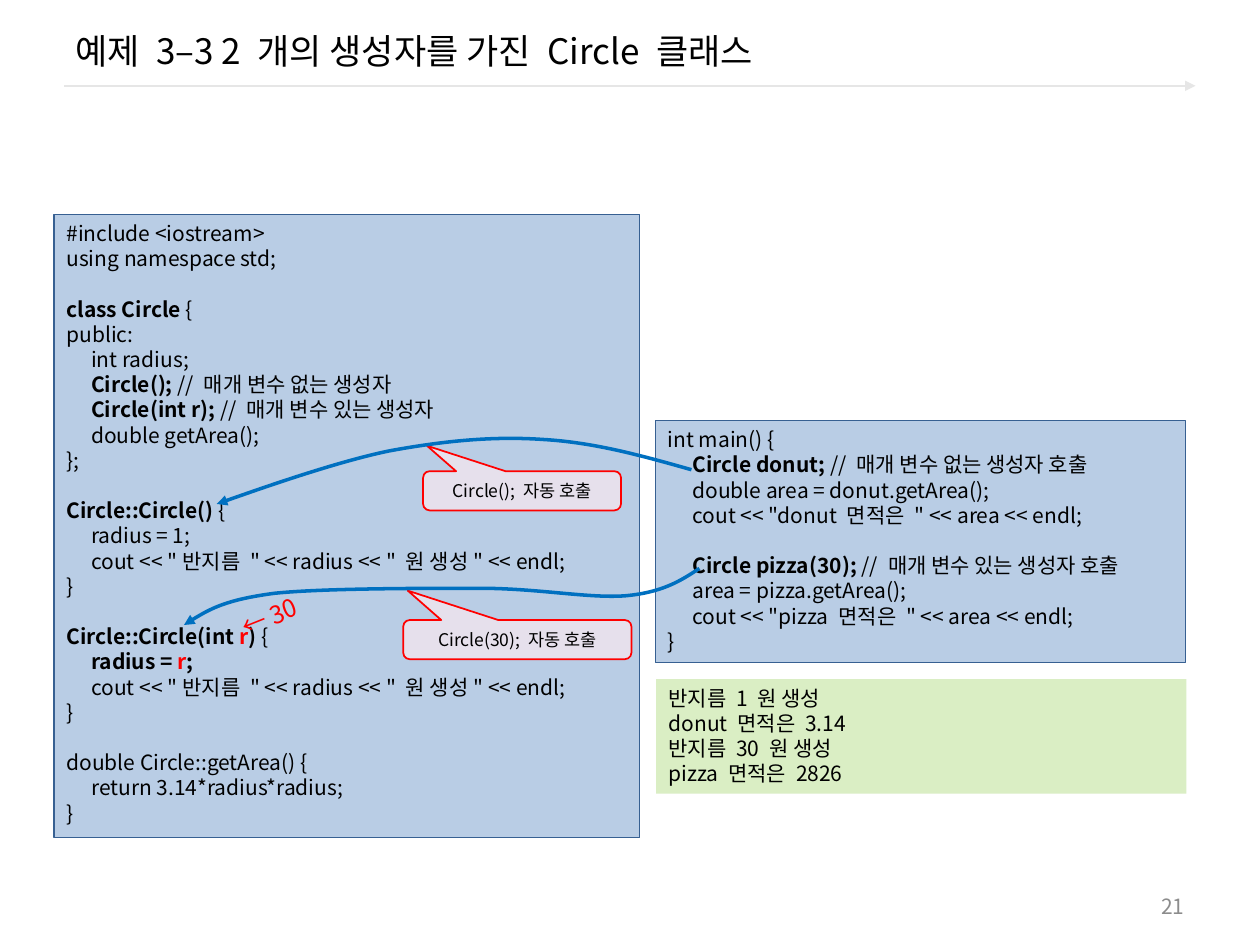
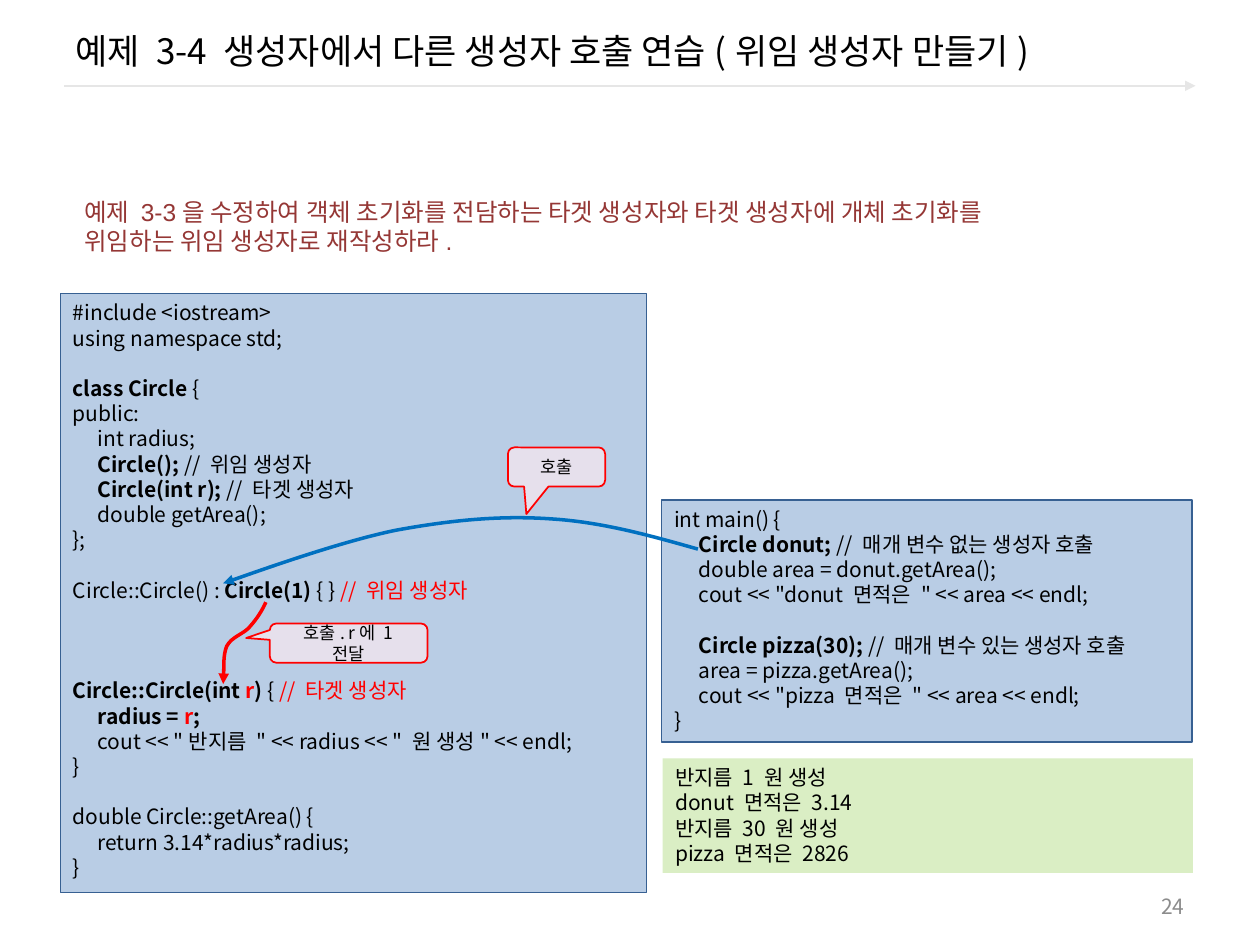
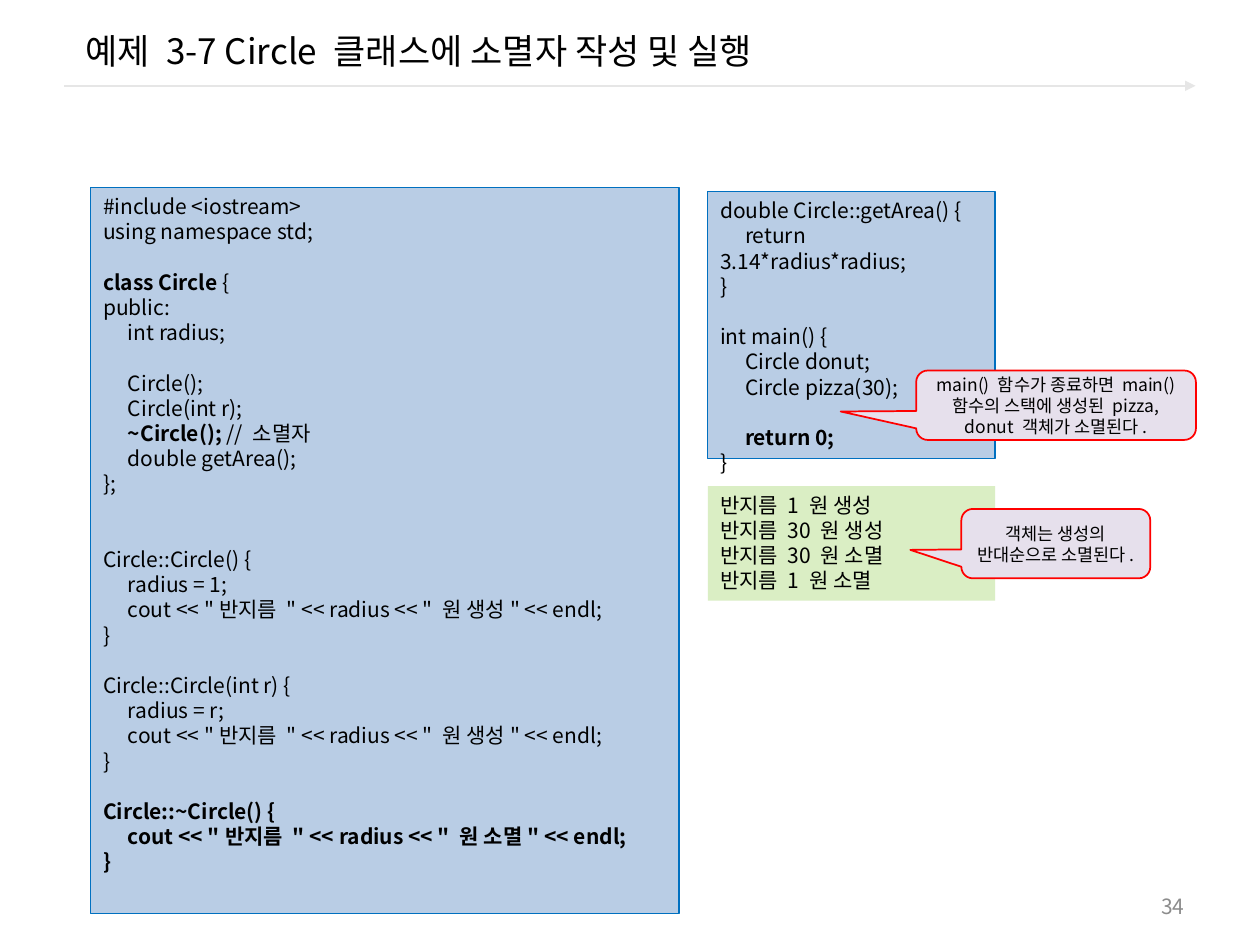
from lxml import etree
from pptx import Presentation
from pptx.dml.color import RGBColor
from pptx.enum import shapes, text
from pptx.oxml.ns import qn
from pptx.util import Cm, Pt

INK = dict(black="000000", red="FF0000", blue="0070C0", navy="376092", code="B9CDE5",
           out="DAEEC4", call="E6E0EC", rule="E6E6E6", page="8C8C8C", wine="953735")
SANS = "Noto Sans CJK KR"
KIND = shapes.MSO_SHAPE
MID = text.MSO_ANCHOR.MIDDLE
TOP = text.MSO_ANCHOR.TOP
ALIGN = text.PP_ALIGN

LOOKS = {
    "title": dict(size=20, anchor=MID),
    "page": dict(size=12, anchor=MID, ink="page", align=ALIGN.RIGHT),
    "note": dict(size=14, ink="wine", font="Arial"),
    "hand": dict(size=14, ink="red", wrap=False),
    "code": dict(size=12, kind=KIND.RECTANGLE, fill="code", edge="navy", width=0.75),
    "late": dict(size=12, kind=KIND.RECTANGLE, fill="code", edge="blue", width=0.75),
    "out": dict(size=12, kind=KIND.RECTANGLE, fill="out"),
    "call": dict(size=10, kind=KIND.ROUNDED_RECTANGULAR_CALLOUT, fill="call", edge="red",
                 width=1, anchor=MID, align=ALIGN.CENTER),
}

# In the listings ** switches bold and ^^ switches red; an empty line is a gap.
START = '''#include <iostream>
using namespace std;

**class Circle **{
public:
    int radius;
'''
PRINT = '    cout << "반지름 " << radius << " 원 생성" << endl;\n}\n'
RED_R = "    **radius = ^^r^^;**\n" + PRINT
AREA = '''double Circle::getArea() {
    return 3.14*radius*radius;
}
'''
MAIN = '''int main() {
    **Circle donut; **// 매개 변수 없는 생성자 호출
    double area = donut.getArea();
    cout << "donut 면적은 " << area << endl;

    **Circle pizza(30); **// 매개 변수 있는 생성자 호출
    area = pizza.getArea();
    cout << "pizza 면적은 " << area << endl;
}'''
RESULT = '''반지름 1 원 생성
donut 면적은 3.14
반지름 30 원 생성
pizza 면적은 2826'''

TWO = START + '''    **Circle(); **// 매개 변수 없는 생성자
    **Circle(int r); **// 매개 변수 있는 생성자
    double getArea();
};

**Circle::Circle() **{
    radius = 1;
''' + PRINT + '''
**Circle::Circle(int ^^r^^) **{
''' + RED_R + "\n" + AREA

CHAIN = START + '''    **Circle(); **// 위임 생성자
    **Circle(int r); **// 타겟 생성자
    double getArea();
};

Circle::Circle() : **Circle(1) **{ } ^^// 위임 생성자^^



**Circle::Circle(int ^^r^^) **{ ^^// 타겟 생성자^^
''' + RED_R + "\n" + AREA

END = START + '''
    Circle();
    Circle(int r);
    **~Circle(); **// 소멸자
    double getArea();
};


Circle::Circle() {
    radius = 1;
''' + PRINT + '''
Circle::Circle(int r) {
    radius = r;
''' + PRINT + '''
**Circle::~Circle() {**
    **cout << "반지름 " << radius << " 원 소멸" << endl;**
**}**'''

END_MAIN = AREA + '''
int main() {
    Circle donut;
    Circle pizza(30);

    **return 0;**
}'''
END_OUT = '''반지름 1 원 생성
반지름 30 원 생성
반지름 30 원 소멸
반지름 1 원 소멸'''

# Curves: a start point, then three points for each Bézier piece.
DONUT = [(13.94, 9.47), (12.95, 9.19), (11.99, 8.92), (10.95, 8.86), (9.93, 8.79),
         (8.94, 8.89), (7.85, 9.09), (6.73, 9.32), (4.37, 10.16), (4.37, 10.16)]
PIZZA = [(14.1, 11.46), (13.72, 11.71), (13.36, 11.94), (12.62, 12.01), (11.89, 12.07),
         (10.85, 11.86), (9.68, 11.86), (8.48, 11.86), (6.53, 11.86), (5.54, 11.96),
         (4.55, 12.09), (4.11, 12.34), (3.71, 12.6)]
CHAINED = [(5.36, 12.14), (5.28, 12.32), (5.18, 12.47), (5.05, 12.62), (4.93, 12.78),
           (4.67, 12.83), (4.57, 13.03), (4.5, 13.21), (4.52, 13.64), (4.5, 13.79)]

# Each item: look, box, wording, then callout tip or None, and turn in degrees.
SLIDES = [
    dict(title="예제 3–3 2 개의 생성자를 가진 Circle 클래스", page="21", items=[
        ("code", (1.09, 4.32, 11.81, 12.57), TWO),
        ("code", (13.21, 8.48, 10.69, 4.88), MAIN),
        ("call", (8.13, 12.5, 4.6, 0.79), "Circle(30); 자동 호출", (-0.48, -1.25)),
        ("call", (8.53, 9.5, 3.99, 0.79), "Circle(); 자동 호출", (-0.48, -1.15)),
        ("hand", (4.6, 11.99, 1.73, 0.86), "← 30", None, 338.1),
        ("out", (13.23, 13.69, 10.69, 2.31), RESULT),
    ], curves=[(DONUT, "blue"), (PIZZA, "blue")]),
    dict(title="예제 3-4 생성자에서 다른 생성자 호출 연습(위임 생성자 만들기)", page="24", items=[
        ("note", (1.45, 3.84, 19.81, 1.45),
         "예제 3-3을 수정하여 객체 초기화를 전담하는 타겟 생성자와 타겟 생성자에 "
         "개체 초기화를 위임하는 위임 생성자로 재작성하라."),
        ("code", (1.22, 5.92, 11.81, 12.07), CHAIN),
        ("code", (13.34, 10.08, 10.69, 4.88), MAIN),
        ("call", (5.44, 12.57, 3.18, 0.79), "호출. r에 1 전달", (-0.65, -0.13)),
        ("call", (10.24, 9.02, 1.96, 0.79), "호출", (-0.31, 1.2)),
        ("out", (13.36, 15.29, 10.69, 2.31), RESULT),
    ], curves=[([(x + 0.13, y + 1.6) for x, y in DONUT], "blue"), (CHAINED, "red")]),
    dict(title="예제 3-7 Circle 클래스에 소멸자 작성 및 실행", page="34", shift=0.2, items=[
        ("late", (1.83, 3.78, 11.86, 14.63), END),
        ("late", (14.27, 3.86, 5.79, 5.38), END_MAIN),
        ("call", (18.47, 7.47, 5.64, 1.4),
         "main() 함수가 종료하면 main() 함수의 스택에 생성된 pizza, donut 객체가 소멸된다.",
         (-0.77, 0.09)),
        ("out", (14.27, 9.8, 5.79, 2.31), END_OUT),
        ("call", (19.38, 10.26, 3.81, 1.4), "객체는 생성의 반대순으로 소멸된다.", (-0.77, 0.09)),
    ], curves=[]),
]


def put(slide, name, box, words, tip=None, turn=0):
    """Add one text box or filled shape in a named look."""
    look = LOOKS[name]
    box = [Cm(v) for v in box]
    if "kind" in look:
        shape = slide.shapes.add_shape(look["kind"], *box)
        shape.shadow.inherit = False
        shape.fill.solid()
        shape.fill.fore_color.rgb = RGBColor.from_string(INK[look["fill"]])
        if "edge" in look:
            shape.line.color.rgb = RGBColor.from_string(INK[look["edge"]])
            shape.line.width = Pt(look["width"])
        else:
            shape.line.fill.background()
    else:
        shape = slide.shapes.add_textbox(*box)
    for i, v in enumerate(tip or ()):
        shape.adjustments[i] = v
    shape.rotation = turn
    frame = shape.text_frame
    frame.word_wrap = look.get("wrap", True)
    frame.vertical_anchor = look.get("anchor", TOP)

    size, gap = look["size"], 0
    pitch = size * 1.2
    para = frame.paragraphs[0]
    for n, line in enumerate(words.rstrip().split("\n")):
        if not line:
            gap += pitch
            continue
        if n:
            para = frame.add_paragraph()
        form = dict(alignment=look.get("align", ALIGN.LEFT), line_spacing=Pt(pitch),
                    space_before=Pt(gap))
        for key, v in form.items():
            setattr(para, key, v)
        gap = 0
        if line.startswith("    "):
            line = "\t" + line.lstrip()
            tabs = etree.SubElement(para._p.get_or_add_pPr(), qn("a:tabLst"))
            etree.SubElement(tabs, qn("a:tab"), pos=str(Cm(0.5)), algn="l")
        for i, part in enumerate(line.split("**")):
            for j, bit in enumerate(part.split("^^")):
                if not bit:
                    continue
                run = para.add_run()
                run.text = bit
                form = dict(size=Pt(size), bold=i % 2 == 1, name=look.get("font", SANS))
                for key, v in form.items():
                    setattr(run.font, key, v)
                ink = "red" if j % 2 else look.get("ink", "black")
                run.font.color.rgb = RGBColor.from_string(INK[ink])
                etree.SubElement(run.font._element, qn("a:ea"), typeface=SANS)
    return shape


def arrow(shape, ink, width):
    """Style a line and give its end a triangle."""
    shape.line.color.rgb = RGBColor.from_string(INK[ink])
    shape.line.width = Pt(width)
    props = shape._element.spPr
    etree.SubElement(props.find(qn("a:ln")), qn("a:tailEnd"), type="triangle")
    if props.find(qn("a:effectLst")) is None:
        etree.SubElement(props, qn("a:effectLst"))


deck = Presentation()
deck.slide_width, deck.slide_height = Cm(25.4), Cm(19.05)
for data in SLIDES:
    slide = deck.slides.add_slide(deck.slide_layouts[6])
    rule = slide.shapes.add_connector(shapes.MSO_CONNECTOR.STRAIGHT,
                                      Cm(1.3), Cm(1.73), Cm(24.1), Cm(1.73))
    arrow(rule, "rule", 1.5)
    put(slide, "title", (1.27 + data.get("shift", 0), 0.2, 22.86, 1.63), data["title"])
    put(slide, "page", (18.21, 17.86, 5.92, 0.81), data["page"])
    for item in data["items"]:
        put(slide, *item)
    for points, ink in data["curves"]:
        first, *rest = [(Cm(x), Cm(y)) for x, y in points]
        pen = slide.shapes.build_freeform(*first)
        pen.add_line_segments(rest, close=False)
        curve = pen.convert_to_shape()
        curve.shadow.inherit = False
        curve.fill.background()
        arrow(curve, ink, 2)
        # Join each three straight steps into one cubic piece.
        track = curve._element.find(".//" + qn("a:path"))
        steps = list(track)[1:]
        for i in range(0, len(steps), 3):
            piece = etree.SubElement(track, qn("a:cubicBezTo"))
            for step in steps[i:i + 3]:
                piece.append(step[0])
                track.remove(step)
deck.save("out.pptx")
